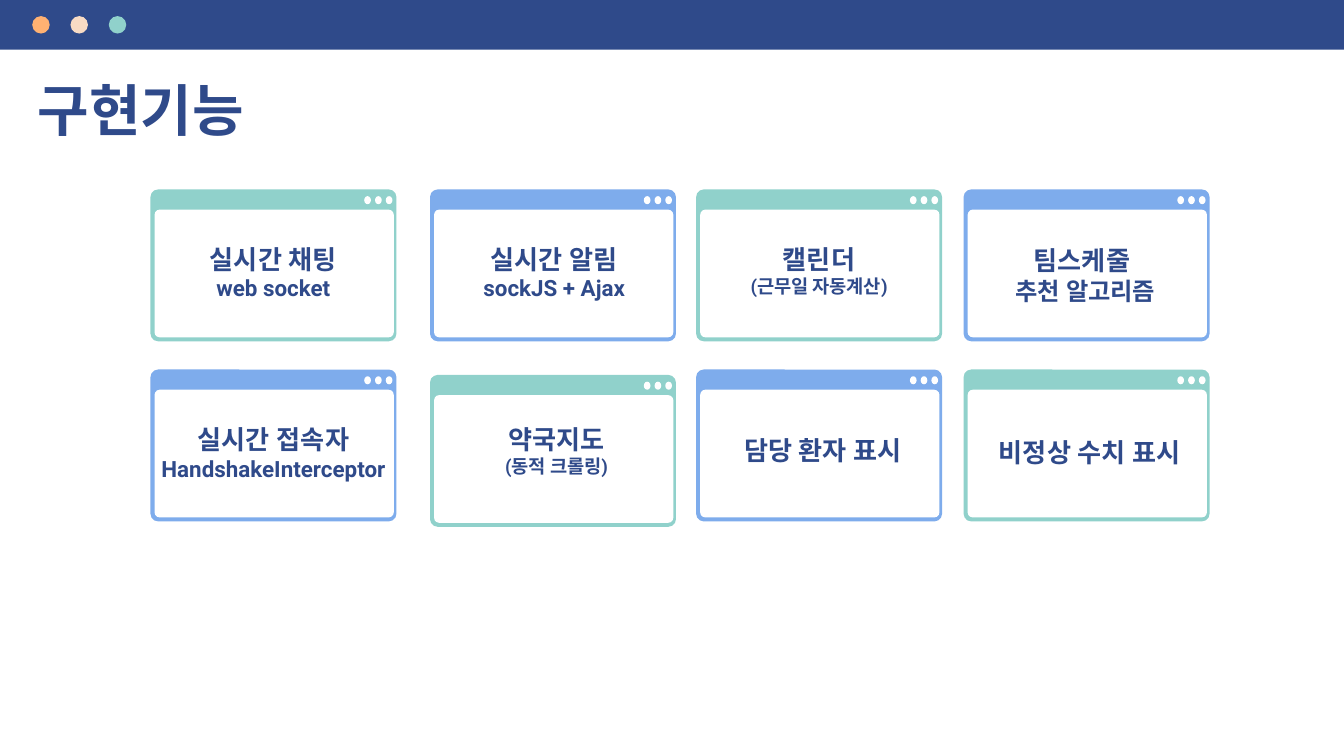
from pptx import Presentation
from pptx.dml.color import RGBColor
from pptx.enum import shapes, text
from pptx.oxml import ns
from pptx.util import Inches, Pt
from lxml import etree

HUES = {"navy": "2F4A8A", "blue": "7EACEC", "teal": "90D1CB",
        "orange": "FFB172", "cream": "F8DBC4", "white": "FFFFFF"}
FONT = "Roboto"
KIND = shapes.MSO_SHAPE

CARDS = [
    (1.12, 1.41, "teal", (1.22, 1.71, 1.63), [("실시간 채팅", 14), ("web socket", 12)]),
    (3.2, 1.41, "blue", (3.21, 1.71, 1.83), [("실시간 알림", 14), ("sockJS + Ajax", 12)]),
    (5.18, 1.41, "teal", (5.28, 1.71, 1.63), [("캘린더", 14), ("(근무일 자동계산)", 10)]),
    (7.17, 1.41, "blue", (7.16, 1.72, 1.83), [("팀스케줄 ", 14), ("추천 알고리즘", 13)]),
    (1.12, 2.75, "blue", (1.09, 3.05, 1.89), [("실시간 접속자", 14), ("HandshakeInterceptor", 12)]),
    (3.2, 2.79, "teal", (3.25, 3.05, 1.78), [("약국지도", 14), ("(동적 크롤링)", 10)]),
    (5.18, 2.75, "blue", (5.21, 3.13, 1.83), [("담당 환자 표시", 14)]),
    (7.17, 2.75, "teal", (7.22, 3.15, 1.78), [("비정상 수치 표시", 14)]),
]


def color(hue):
    return RGBColor.from_string(HUES[hue])


def add_form(slide, kind, box, hue, curve=None):
    form = slide.shapes.add_shape(kind, *map(Inches, box))
    form.shadow.inherit = False
    form.fill.solid()
    form.fill.fore_color.rgb = color(hue)
    form.line.fill.background()
    if curve is not None:
        form.adjustments[0] = curve


def write(frame, lines, align):
    frame.word_wrap = True
    frame.auto_size = text.MSO_AUTO_SIZE.NONE
    frame.vertical_anchor = text.MSO_ANCHOR.TOP
    frame.margin_left = frame.margin_right = Inches(0.1)
    frame.margin_top = frame.margin_bottom = Inches(0.1)
    frame.text = "\n".join(line for line, size in lines)
    for para, (line, size) in zip(frame.paragraphs, lines):
        para.alignment = align
        para.line_spacing = 1.0
        para.space_before = Pt(0)
        for run in para.runs:
            font = run.font
            font.name = FONT
            font.size = Pt(size)
            font.bold = True
            font.color.rgb = color("navy")
            latin = font._element.find(ns.qn("a:latin"))
            asian = etree.Element(ns.qn("a:ea"), typeface=FONT)
            latin.addnext(asian)


def add_bar(slide):
    add_form(slide, KIND.RECTANGLE, (0, 0, 10, 0.37), "navy")
    for i, hue in enumerate(("orange", "cream", "teal")):
        add_form(slide, KIND.OVAL, (0.24 + i * 0.285, 0.12, 0.13, 0.13), hue)


def add_title(slide, words):
    title = slide.shapes.title
    title.left, title.top = Inches(0.18), Inches(0.46)
    title.width, title.height = Inches(8.44), Inches(0.51)
    write(title.text_frame, [(words, 30)], text.PP_ALIGN.LEFT)


def add_card(slide, x, y, hue):
    add_form(slide, KIND.ROUNDED_RECTANGLE, (x, y, 1.83, 1.13), hue, 0.05)
    add_form(slide, KIND.ROUNDED_RECTANGLE, (x + 0.03, y + 0.15, 1.78, 0.95), "white", 0.04)
    for i in range(3):
        add_form(slide, KIND.OVAL, (x + 1.59 + i * 0.08, y + 0.05, 0.05, 0.06), "white")


def add_label(slide, left, top, width, lines):
    box = slide.shapes.add_textbox(*map(Inches, (left, top, width, 0.52)))
    write(box.text_frame, lines, text.PP_ALIGN.CENTER)


def main():
    deck = Presentation()
    deck.slide_width = Inches(10)
    deck.slide_height = deck.slide_width * 9 // 16
    slide = deck.slides.add_slide(deck.slide_layouts[5])
    add_bar(slide)
    add_title(slide, "구현기능")
    for x, y, hue, spot, lines in CARDS:
        add_card(slide, x, y, hue)
        add_label(slide, *spot, lines)
    deck.save("out.pptx")


if __name__ == "__main__":
    main()
